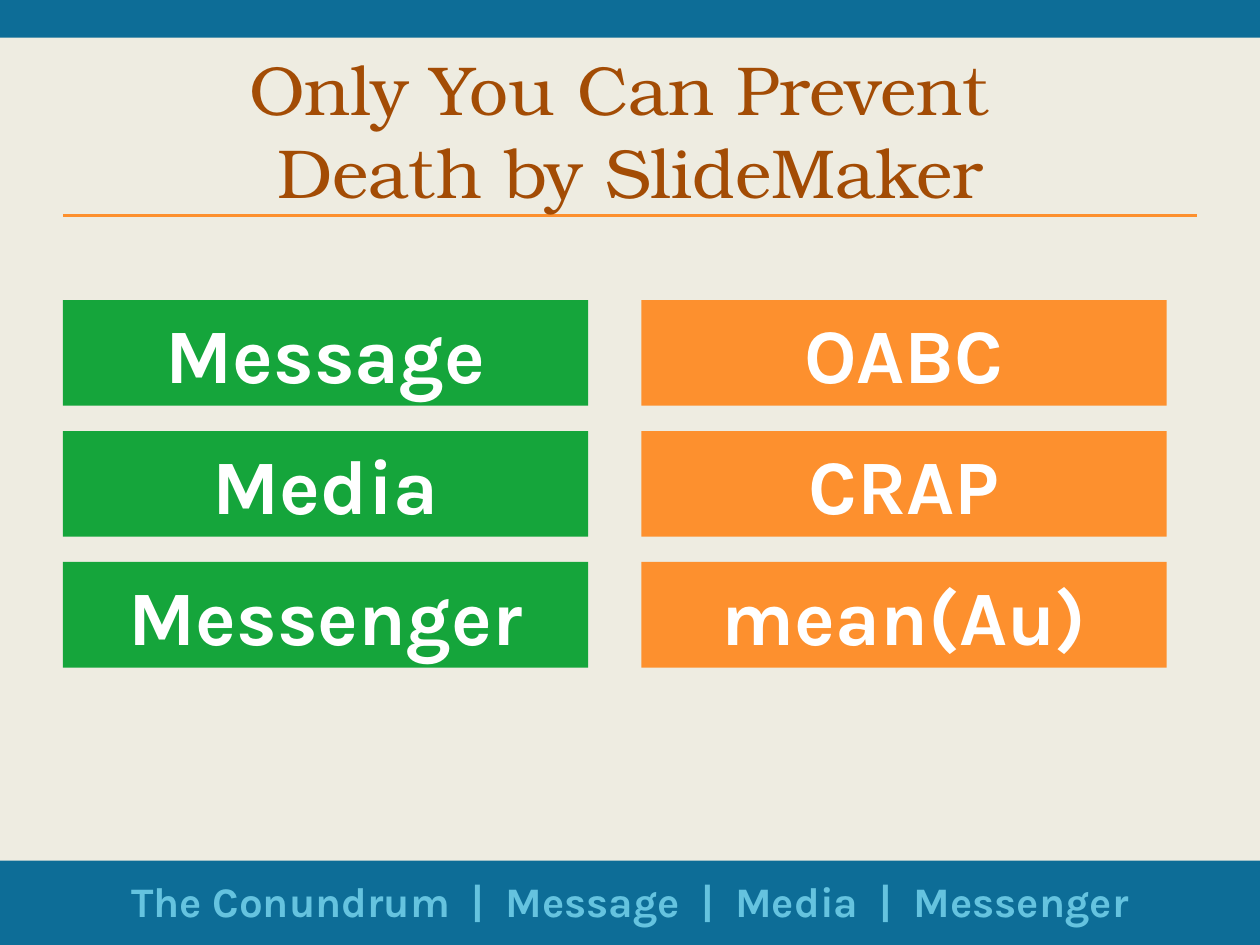
from lxml import etree
from pptx import Presentation
from pptx.dml.color import RGBColor
from pptx.enum.shapes import MSO_CONNECTOR, MSO_SHAPE
from pptx.enum.text import MSO_ANCHOR, PP_ALIGN
from pptx.oxml.ns import qn
from pptx.util import Cm, Pt

RECT = MSO_SHAPE.RECTANGLE
LINE = MSO_CONNECTOR.STRAIGHT
MID, TOP = MSO_ANCHOR.MIDDLE, MSO_ANCHOR.TOP
CENTER = PP_ALIGN.CENTER

HUES = {
    "paper": "EEECE1",
    "blue": "0D6D97",
    "sky": "65C3DF",
    "rust": "A34C05",
    "green": "15A53B",
    "orange": "FD902E",
    "white": "FFFFFF",
}
WIDE, HIGH = 25.4, 19.05
EDGE = 1.27
SPAN = WIDE - 2 * EDGE
TITLE = {"name": "TeX Gyre Bonum", "size": Pt(39.6), "bold": False}
LABEL = {"name": "Karla", "size": Pt(44), "bold": True}
FOOT = {"name": "Karla", "size": Pt(24), "bold": True}
COLS = [
    ("green", EDGE, ["Message", "Media", "Messenger"]),
    ("orange", 12.93, ["OABC", "CRAP", "mean(Au)"]),
]
ROW_TOP, ROW_STEP = 6.05, 2.64
BOX_WIDE, BOX_HIGH = 10.59, 2.13


def color(key):
    """Return the named colour."""
    return RGBColor.from_string(HUES[key])


def write(shape, text, style, hue, anchor=TOP):
    """Put centred, styled text in a shape."""
    frame = shape.text_frame
    frame.text = text
    frame.word_wrap = True
    frame.vertical_anchor = anchor
    for para in frame.paragraphs:
        para.alignment = CENTER
        for run in para.runs:
            for key, value in style.items():
                setattr(run.font, key, value)
            run.font.color.rgb = color(hue)


def add_block(slide, hue, *place):
    """Add a plain filled rectangle."""
    block = slide.shapes.add_shape(RECT, *map(Cm, place))
    block.shadow.inherit = False
    block.fill.solid()
    block.fill.fore_color.rgb = color(hue)
    block.line.fill.background()
    return block


def add_text(slide, place, *look):
    """Add a text box with styled text."""
    write(slide.shapes.add_textbox(*map(Cm, place)), *look)


def add_rule(slide, top):
    """Add the orange rule between the side margins."""
    ends = (EDGE, top, WIDE - EDGE, top)
    rule = slide.shapes.add_connector(LINE, *map(Cm, ends))
    rule.line.color.rgb = color("orange")
    rule.line.width = Pt(2)
    etree.SubElement(rule._element.spPr, qn("a:effectLst"))


def add_grid(slide):
    """Add the two columns of labelled boxes."""
    for hue, left, names in COLS:
        for row, name in enumerate(names):
            top = ROW_TOP + row * ROW_STEP
            box = add_block(slide, hue, left, top, BOX_WIDE, BOX_HIGH)
            write(box, name, LABEL, "white")


def main():
    """Build and save the slide."""
    deck = Presentation()
    deck.slide_width, deck.slide_height = Cm(WIDE), Cm(HIGH)
    slide = deck.slides.add_slide(deck.slide_layouts[6])
    slide.background.fill.solid()
    slide.background.fill.fore_color.rgb = color("paper")

    add_block(slide, "blue", 0, 17.35, WIDE, 1.7)
    add_block(slide, "blue", 0, 0, WIDE, 0.76)
    add_rule(slide, 4.34)
    add_text(slide, (EDGE, 1.27, SPAN, 2.67),
             "Only You Can Prevent \vDeath by SlideMaker", TITLE, "rust", MID)
    add_grid(slide)
    add_text(slide, (EDGE, 17.53, SPAN, 1.27),
             "The Conundrum  |  Message  |  Media  |  Messenger", FOOT, "sky")
    deck.save("out.pptx")


if __name__ == "__main__":
    main()
